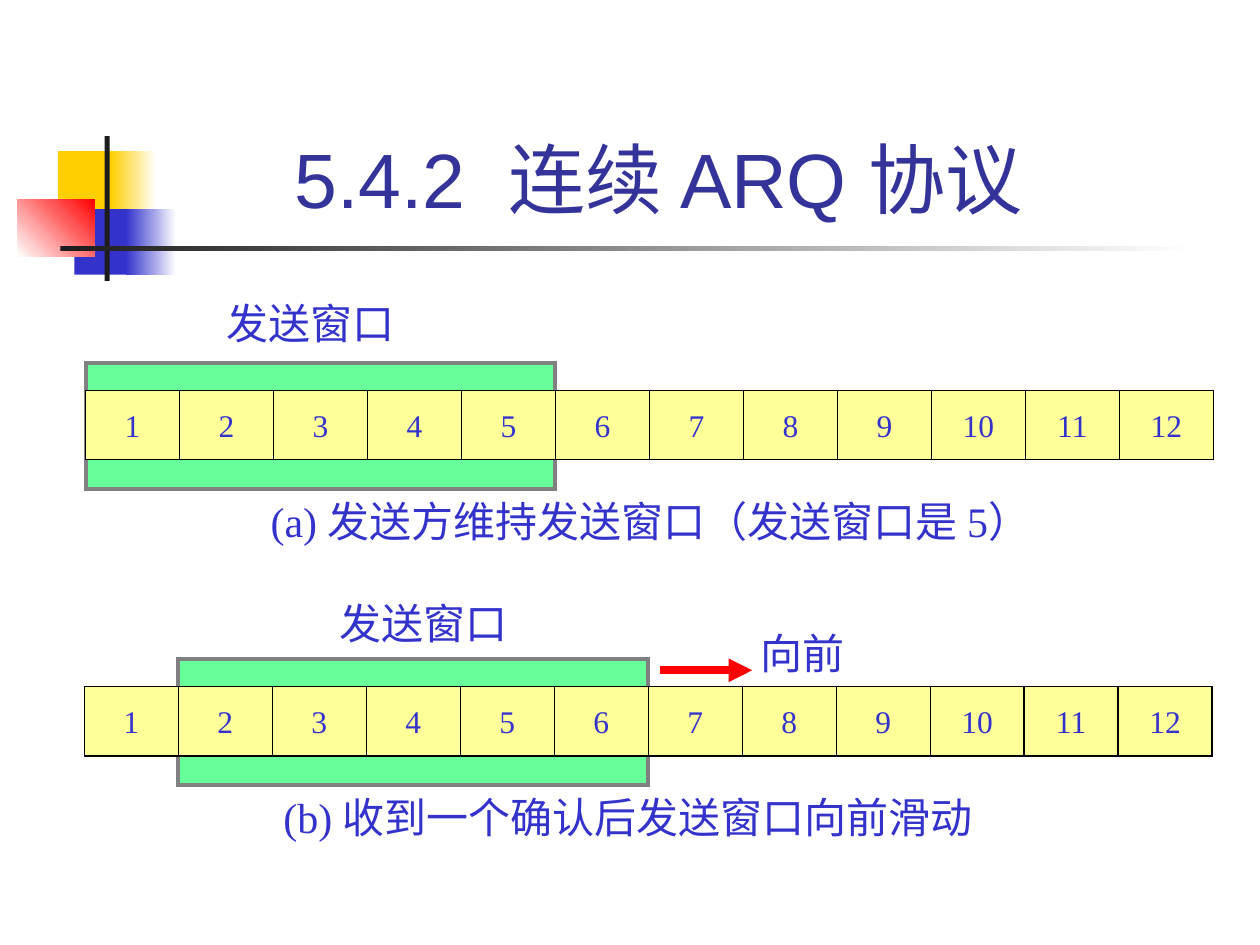
from lxml.etree import SubElement
from pptx import Presentation
from pptx.dml.color import RGBColor
from pptx.enum.shapes import MSO_CONNECTOR, MSO_SHAPE
from pptx.enum.text import MSO_ANCHOR, MSO_AUTO_SIZE, PP_ALIGN
from pptx.oxml.ns import qn
from pptx.util import Inches, Pt

WHITE = RGBColor(0xFF, 0xFF, 0xFF)
BLACK = RGBColor(0x00, 0x00, 0x00)
CHARCOAL = RGBColor(0x1C, 0x1C, 0x1C)
GOLD = RGBColor(0xFF, 0xCF, 0x01)
BLUE = RGBColor(0x33, 0x33, 0xCC)
NAVY = RGBColor(0x33, 0x33, 0x99)
RED = RGBColor(0xFF, 0x00, 0x00)
GREEN = RGBColor(0x66, 0xFF, 0x99)
YELLOW = RGBColor(0xFF, 0xFF, 0x99)
GRAY = RGBColor(0x80, 0x80, 0x80)

TITLE = "5.4.2  连续 ARQ 协议 "
FRAMES = range(1, 13)
WINDOW_SIZE = 5

# Box (left, top, width, height), colours (one, or gradient start and end), angle
ORNAMENTS = [
    ((0.46, 1.2, 0.48, 0.52), [GOLD], 0),
    ((0.88, 1.2, 0.36, 0.52), [GOLD, WHITE], 0),
    ((0.59, 1.66, 0.46, 0.52), [BLUE], 0),
    ((1, 1.66, 0.4, 0.52), [BLUE, WHITE], 0),
    ((0.14, 1.58, 0.61, 0.46), [WHITE, RED], 45),
    ((0.83, 1.08, 0.04, 1.15), [CHARCOAL], 0),
    ((0.48, 1.95, 9, 0.04), [CHARCOAL, WHITE], 0),
]

# "acked" frames lie before the send window; labels are (text, left, top, width)
SEQUENCES = [
    {"left": 0.68, "top": 3.1, "acked": 0, "labels": [
        ("(a) 发送方维持发送窗口（发送窗口是 5）", 2.05, 3.88, 6.47),
        ("发送窗口", 1.7, 2.31, 1.53)]},
    {"left": 0.67, "top": 5.45, "acked": 1, "labels": [
        ("(b) 收到一个确认后发送窗口向前滑动", 2.15, 6.23, 5.75),
        ("向前", 5.94, 4.93, 0.9),
        ("发送窗口", 2.6, 4.69, 1.53)]},
]
FORWARD_ARROW = (5.24, 5.32, 5.97, 5.32)

CELL_W, CELL_H = 8.95 / len(FRAMES), 0.55
WINDOW_H = 1
WINDOW_RISE = 0.22
LABEL_H = 0.5


def add_box(slide, box, colors, angle=0, line=None, line_width=0.75):
    shape = slide.shapes.add_shape(MSO_SHAPE.RECTANGLE, *map(Inches, box))
    shape.shadow.inherit = False
    if len(colors) == 1:
        shape.fill.solid()
        shape.fill.fore_color.rgb = colors[0]
    else:
        shape.fill.gradient()
        shape.fill.gradient_angle = angle
        for stop, color in zip(shape.fill.gradient_stops, colors):
            stop.color.rgb = color
    if line is None:
        shape.line.fill.background()
    else:
        shape.line.color.rgb = line
        shape.line.width = Pt(line_width)
        outline = shape._element.spPr.find(qn("a:ln"))
        SubElement(outline, qn("a:miter"), lim="800000")


def add_line(slide, ends, color=BLACK, width=0.75):
    line = slide.shapes.add_connector(MSO_CONNECTOR.STRAIGHT, *map(Inches, ends))
    line.line.color.rgb = color
    line.line.width = Pt(width)
    SubElement(line._element.spPr, qn("a:effectLst"))
    return line


def style(paragraph, font_name, size, color):
    paragraph.font.name = font_name
    paragraph.font.size = Pt(size)
    paragraph.font.color.rgb = color


def add_text(slide, text, box, size):
    frame = slide.shapes.add_textbox(*map(Inches, box)).text_frame
    frame.word_wrap = False
    frame.text = text
    style(frame.paragraphs[0], "Times New Roman", size, BLUE)
    return frame


def add_sequence(slide, left, top, acked, labels):
    """Draw the send window behind a row of numbered frames, and its labels."""
    add_box(slide, (left + acked * CELL_W, top - WINDOW_RISE,
                    WINDOW_SIZE * CELL_W, WINDOW_H),
            [GREEN], line=GRAY, line_width=2.25)
    add_box(slide, (left, top, len(FRAMES) * CELL_W, CELL_H), [YELLOW], line=BLACK)
    for column, number in enumerate(FRAMES):
        x = left + column * CELL_W
        cell = add_text(slide, str(number), (x, top, CELL_W, CELL_H), 18)
        cell.vertical_anchor = MSO_ANCHOR.MIDDLE
        cell.paragraphs[0].alignment = PP_ALIGN.CENTER
        if column:
            add_line(slide, (x, top, x, top + CELL_H))
    for text, x, y, width in labels:
        label = add_text(slide, text, (x, y, width, LABEL_H), 24)
        label.auto_size = MSO_AUTO_SIZE.SHAPE_TO_FIT_TEXT


def main():
    deck = Presentation()
    deck.slide_width, deck.slide_height = Inches(10), Inches(7.5)
    slide = deck.slides.add_slide(deck.slide_layouts[5])

    title = slide.shapes.title
    title.left, title.top, title.width, title.height = map(
        Inches, (1.26, 0.23, 8.07, 1.6))
    title.text_frame.text = TITLE
    title.text_frame.vertical_anchor = MSO_ANCHOR.BOTTOM
    title.text_frame.paragraphs[0].alignment = PP_ALIGN.CENTER
    style(title.text_frame.paragraphs[0], "Arial", 44, NAVY)

    for box, colors, angle in ORNAMENTS:
        add_box(slide, box, colors, angle)
    for sequence in SEQUENCES:
        add_sequence(slide, **sequence)

    arrow = add_line(slide, FORWARD_ARROW, RED, 4.5)
    SubElement(arrow._element.spPr.find(qn("a:ln")), qn("a:tailEnd"), type="triangle")

    deck.save("out.pptx")


if __name__ == "__main__":
    main()
